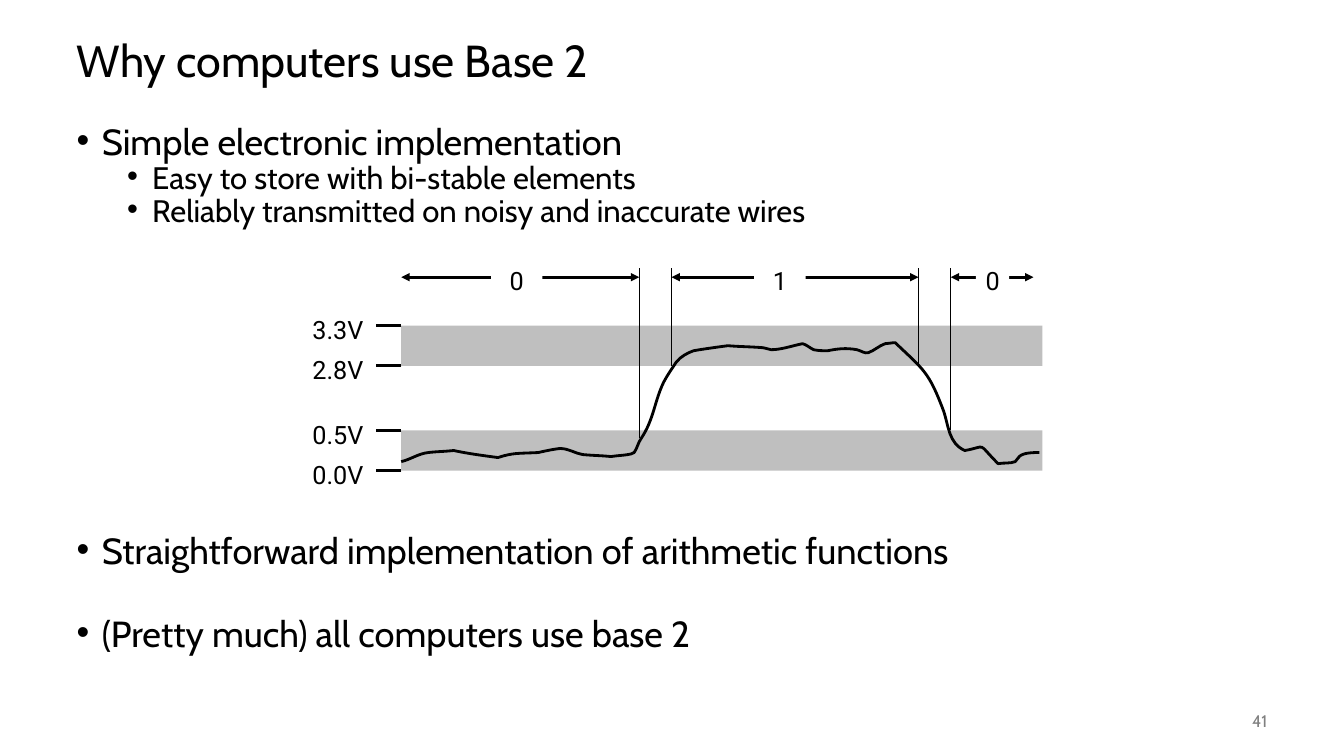
import lxml.etree
import pptx
import pptx.dml.color
import pptx.enum.shapes
import pptx.enum.text
import pptx.oxml.ns
import pptx.util

Inches = pptx.util.Inches
Pt = pptx.util.Pt
qn = pptx.oxml.ns.qn
ALIGN = pptx.enum.text.PP_ALIGN
ANCHOR = pptx.enum.text.MSO_ANCHOR

BLACK = pptx.dml.color.RGBColor(0x00, 0x00, 0x00)
WHITE = pptx.dml.color.RGBColor(0xFF, 0xFF, 0xFF)
BAND_GREY = pptx.dml.color.RGBColor(0xBF, 0xBF, 0xBF)
NUMBER_GREY = pptx.dml.color.RGBColor(0x80, 0x80, 0x80)
TEXT_FONT = "Cabin"
DIAGRAM_FONT = "Roboto"

TITLE = "Why computers use Base 2"
SLIDE_NUMBER = "41"
# (level, text, space before in points)
BULLETS = [
    (0, "Simple electronic implementation", 0),
    (1, "Easy to store with bi-stable elements", 5),
    (1, "Reliably transmitted on noisy and inaccurate wires", 5),
    (0, "Straightforward implementation of arithmetic functions", 223),
    (0, "(Pretty much) all computers use base 2", 37.7),
]
LEVEL_SIZES = [25.9, 22.2]
LEVEL_MARGINS = [0.25, 0.75]
HANGING = 0.25

VOLTAGES = {"0.0V": 4.67, "0.5V": 4.27, "2.8V": 3.63, "3.3V": 3.23}
BANDS = [("0.5V", "0.0V"), ("3.3V", "2.8V")]
BAND_LEFT, BAND_WIDTH = 3.98, 6.36
TICK_LENGTH = 0.25
LABEL_LEFT, LABEL_WIDTH, LABEL_HEIGHT = 3, 0.71, 0.4

ARROW_Y, EDGE_TOP = 2.75, 2.66
EDGES = [(6.34, 4.35), (6.66, 3.63), (9.11, 3.63), (9.43, 4.27)]
# (digit, arrow start, arrow end, digit left, digit width)
BITS = [
    ("0", 3.98, 6.34, 4.87, 0.51),
    ("1", 6.66, 9.11, 7.48, 0.51),
    ("0", 9.43, 10.25, 9.68, 0.33),
]

SIGNAL_START = (3.98, 4.58)
# (first control x, y, second control x, y, end x, y)
SIGNAL_CURVES = [
    (4.07, 4.56, 4.15, 4.5, 4.25, 4.49),
    (4.33, 4.48, 4.41, 4.48, 4.5, 4.47),
    (4.64, 4.5, 4.79, 4.52, 4.94, 4.54),
    (5.09, 4.49, 5.14, 4.5, 5.34, 4.49),
    (5.38, 4.48, 5.52, 4.45, 5.56, 4.45),
    (5.64, 4.45, 5.71, 4.5, 5.78, 4.51),
    (5.88, 4.52, 5.97, 4.52, 6.06, 4.53),
    (6.12, 4.52, 6.17, 4.52, 6.23, 4.51),
    (6.25, 4.51, 6.27, 4.5, 6.29, 4.49),
    (6.32, 4.45, 6.33, 4.39, 6.36, 4.35),
    (6.48, 4.17, 6.49, 4, 6.57, 3.82),
    (6.6, 3.75, 6.67, 3.65, 6.71, 3.59),
    (6.75, 3.54, 6.82, 3.5, 6.88, 3.48),
    (6.99, 3.46, 7.22, 3.43, 7.22, 3.43),
    (7.33, 3.44, 7.45, 3.44, 7.57, 3.45),
    (7.6, 3.45, 7.62, 3.47, 7.65, 3.47),
    (7.75, 3.47, 7.86, 3.43, 7.96, 3.41),
    (8, 3.42, 8.03, 3.45, 8.07, 3.47),
    (8.12, 3.48, 8.16, 3.48, 8.21, 3.48),
    (8.31, 3.46, 8.39, 3.45, 8.5, 3.47),
    (8.54, 3.48, 8.58, 3.51, 8.61, 3.5),
    (8.67, 3.48, 8.72, 3.43, 8.78, 3.41),
    (8.81, 3.41, 8.84, 3.4, 8.88, 3.4),
    (9.16, 3.67, 9.21, 3.68, 9.36, 4.08),
    (9.41, 4.23, 9.41, 4.4, 9.57, 4.47),
    (9.8, 4.43, 9.68, 4.38, 9.9, 4.6),
    (9.96, 4.59, 10.02, 4.6, 10.07, 4.58),
    (10.09, 4.57, 10.09, 4.54, 10.11, 4.53),
    (10.15, 4.49, 10.25, 4.49, 10.31, 4.49),
]


def place(shape, left, top, width, height):
    shape.left, shape.top = Inches(left), Inches(top)
    shape.width, shape.height = Inches(width), Inches(height)


def format_runs(paragraph, size, font, color):
    for run in paragraph.runs:
        run.font.size, run.font.name = Pt(size), font
        run.font.color.rgb = color


def add_rectangle(slide, left, top, width, height, color):
    shape = slide.shapes.add_shape(
        pptx.enum.shapes.MSO_SHAPE.RECTANGLE,
        Inches(left), Inches(top), Inches(width), Inches(height))
    shape.shadow.inherit = False
    shape.fill.solid()
    shape.fill.fore_color.rgb = color
    shape.line.fill.background()
    return shape


def add_label(slide, text, box, size, font, color, align):
    label = slide.shapes.add_textbox(*map(Inches, box))
    label.text_frame.text = text
    label.text_frame.word_wrap = False
    label.text_frame.vertical_anchor = ANCHOR.MIDDLE
    paragraph = label.text_frame.paragraphs[0]
    paragraph.alignment = align
    format_runs(paragraph, size, font, color)


def add_line(slide, start, end, width, arrows=False):
    connector = slide.shapes.add_connector(
        pptx.enum.shapes.MSO_CONNECTOR.STRAIGHT, *map(Inches, start + end))
    connector.line.color.rgb = BLACK
    connector.line.width = Pt(width)
    properties = connector.element.spPr
    if arrows:
        for tag in ("a:headEnd", "a:tailEnd"):
            lxml.etree.SubElement(properties.find(qn("a:ln")), qn(tag), type="triangle")
    lxml.etree.SubElement(properties, qn("a:effectLst"))


def add_text(slide):
    title, body = slide.shapes.title, slide.placeholders[1]
    place(title, 0.66, 0.25, 12, 0.75)
    title.text_frame.text = TITLE
    title.text_frame.vertical_anchor = ANCHOR.MIDDLE
    heading = title.text_frame.paragraphs[0]
    heading.alignment, heading.line_spacing = ALIGN.LEFT, 0.9
    format_runs(heading, 32, TEXT_FONT, BLACK)

    place(body, 0.66, 1.25, 12, 5.5)
    body.text_frame.text = "\n".join(text for _, text, _ in BULLETS)
    body.text_frame.auto_size = pptx.enum.text.MSO_AUTO_SIZE.NONE
    for paragraph, (level, _, space) in zip(body.text_frame.paragraphs, BULLETS):
        properties = paragraph._p.get_or_add_pPr()
        properties.set("marL", str(Inches(LEVEL_MARGINS[level])))
        properties.set("indent", str(-Inches(HANGING)))
        lxml.etree.SubElement(properties, qn("a:buFont"), typeface="Arial")
        lxml.etree.SubElement(properties, qn("a:buChar"), char="•")
        paragraph.level, paragraph.line_spacing = level, 0.7
        paragraph.space_before = Pt(space)
        format_runs(paragraph, LEVEL_SIZES[level], TEXT_FONT, BLACK)


def add_signal(slide):
    builder = slide.shapes.build_freeform(*map(Inches, SIGNAL_START))
    ends = [(Inches(x), Inches(y)) for *_, x, y in SIGNAL_CURVES]
    builder.add_line_segments(ends, close=False)
    signal = builder.convert_to_shape()
    signal.shadow.inherit = False
    signal.fill.background()
    signal.line.color.rgb, signal.line.width = BLACK, Pt(2)

    segments = list(signal.element.iter(qn("a:lnTo")))
    for segment, (x1, y1, x2, y2, _, _) in zip(segments, SIGNAL_CURVES):
        segment.tag = qn("a:cubicBezTo")
        for position, (x, y) in enumerate([(x1, y1), (x2, y2)]):
            control = lxml.etree.Element(
                qn("a:pt"), x=str(Inches(x) - signal.left), y=str(Inches(y) - signal.top))
            segment.insert(position, control)


def add_diagram(slide):
    for upper, lower in BANDS:
        top = VOLTAGES[upper]
        add_rectangle(slide, BAND_LEFT, top, BAND_WIDTH, VOLTAGES[lower] - top, BAND_GREY)
    add_signal(slide)
    for text, y in VOLTAGES.items():
        add_line(slide, (BAND_LEFT, y), (BAND_LEFT - TICK_LENGTH, y), 2)
        add_label(slide, text, (LABEL_LEFT, y - 0.16, LABEL_WIDTH, LABEL_HEIGHT),
                  18, DIAGRAM_FONT, BLACK, ALIGN.LEFT)
    for x, bottom in EDGES:
        add_line(slide, (x, EDGE_TOP), (x, bottom), 1)
    for digit, start, end, left, width in BITS:
        add_line(slide, (start, ARROW_Y), (end, ARROW_Y), 2, arrows=True)
        box = add_rectangle(slide, left, 2.58, width, LABEL_HEIGHT, WHITE)
        frame = box.text_frame
        frame.text = digit
        frame.margin_left = frame.margin_right = 0
        frame.vertical_anchor = ANCHOR.MIDDLE
        frame.paragraphs[0].alignment = ALIGN.CENTER
        format_runs(frame.paragraphs[0], 18, DIAGRAM_FONT, BLACK)


def main():
    """Build the slide on why computers use base 2."""
    presentation = pptx.Presentation()
    presentation.slide_width, presentation.slide_height = Inches(13.33), Inches(7.5)
    slide = presentation.slides.add_slide(presentation.slide_layouts[1])
    add_text(slide)
    add_diagram(slide)
    add_label(slide, SLIDE_NUMBER, (11.67, 6.95, 1, 0.4), 12, TEXT_FONT, NUMBER_GREY, ALIGN.RIGHT)
    presentation.save("out.pptx")


if __name__ == "__main__":
    main()
